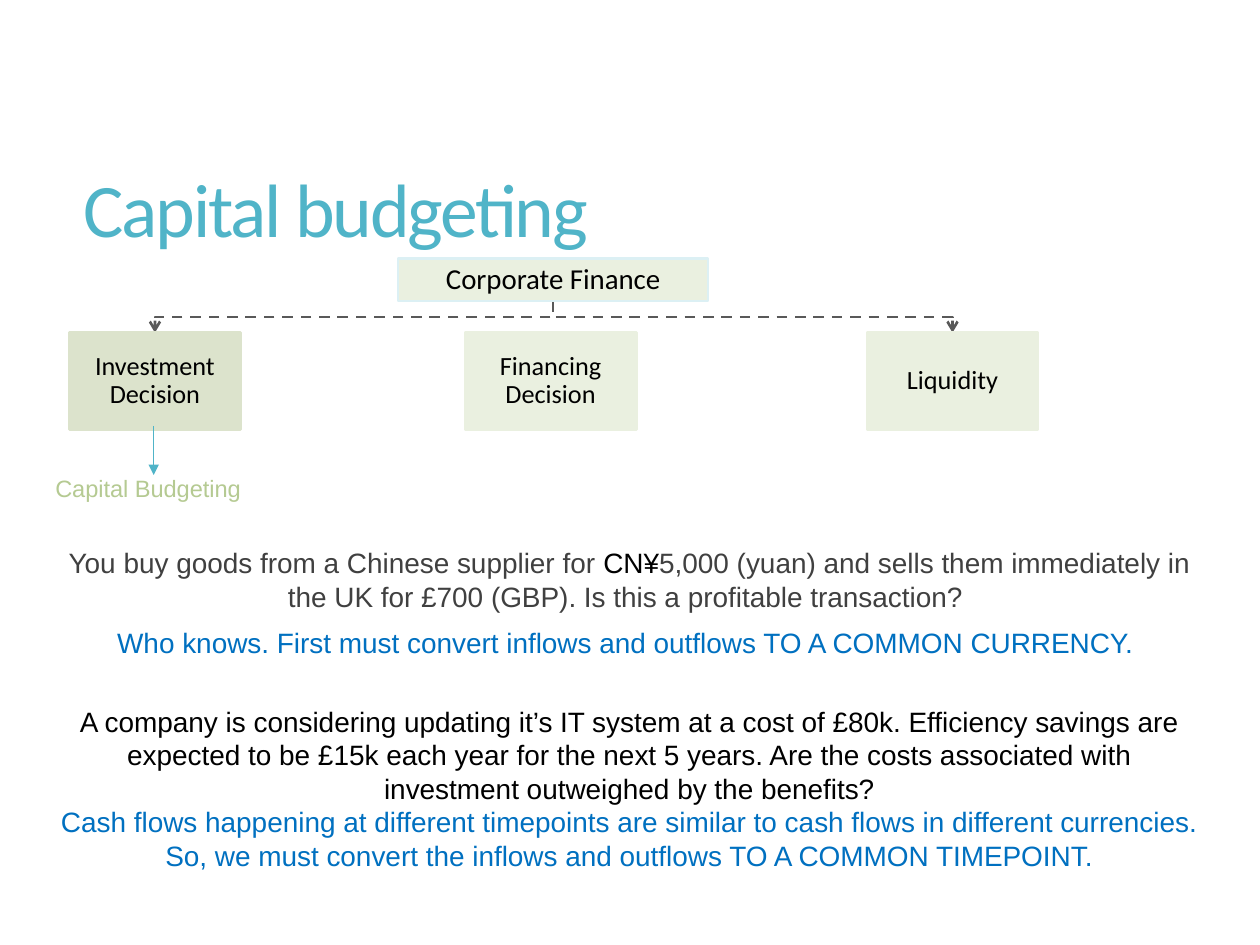
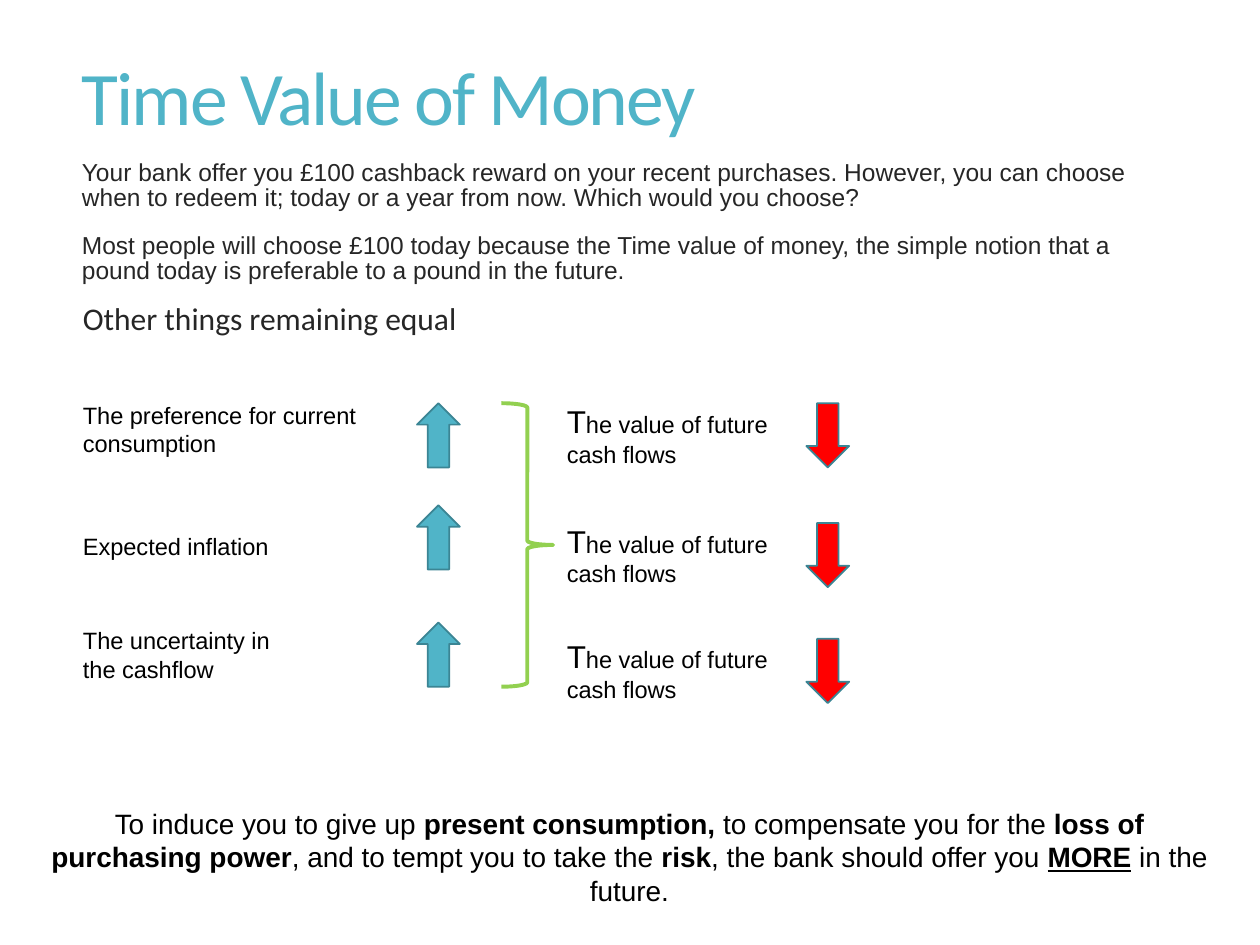
from dataclasses import dataclass

from lxml.etree import SubElement
from pptx import Presentation
from pptx.dml.color import RGBColor
from pptx.enum.dml import MSO_LINE
from pptx.enum.shapes import MSO_CONNECTOR, MSO_SHAPE
from pptx.enum.text import MSO_ANCHOR, MSO_AUTO_SIZE, PP_ALIGN
from pptx.oxml.ns import qn
from pptx.util import Inches, Pt


@dataclass(frozen=True)
class Theme:
    heading_font: str = "Calibri"
    text_font: str = "Arial"
    teal: str = "50B4C8"
    teal_dark: str = "3B8594"
    teal_pale: str = "DCF0F4"
    green: str = "92D050"
    green_soft: str = "B5CA92"
    green_pale: str = "EAF0E0"
    green_focus: str = "DCE3CC"
    blue: str = "0070C0"
    red: str = "FF0000"
    black: str = "000000"
    ink: str = "262626"
    grey: str = "404040"
    link: str = "595959"
    title: float = 43.2
    lead: float = 18
    root: float = 16.5
    statement: float = 16
    branch: float = 15
    body: float = 14
    label: float = 13.5


theme = Theme()
color = RGBColor.from_string

deck = Presentation()
deck.slide_width, deck.slide_height = Inches(10), Inches(7.5)

# Grid of 100 columns by 75 rows
column, row = deck.slide_width / 100, deck.slide_height / 75


def grid(x, y, *size):
    units = (column, row) * 2
    return [round(n * unit) for n, unit in zip((x, y, *size), units)]


def write(frame, paragraphs, font=theme.text_font, align=PP_ALIGN.LEFT,
          leading=1.0, before=0, anchor=MSO_ANCHOR.TOP):
    """Each paragraph is a list of runs: text, size, colour, marks (b, u)."""
    frame.word_wrap = True
    frame.auto_size = MSO_AUTO_SIZE.NONE
    frame.vertical_anchor = anchor
    for i, runs in enumerate(paragraphs):
        paragraph = frame.add_paragraph() if i else frame.paragraphs[0]
        paragraph.alignment = align
        paragraph.line_spacing = leading
        paragraph.space_before = Pt(before if i else 0)
        for text, size, ink, *marks in runs:
            run = paragraph.add_run()
            run.text = text
            run.font.name = font
            run.font.size = Pt(size)
            run.font.color.rgb = color(ink)
            run.font.bold = "b" in marks
            run.font.underline = "u" in marks


# Slides and their shared title style
budgeting = deck.slides.add_slide(deck.slide_layouts[5])
time_value = deck.slides.add_slide(deck.slide_layouts[1])
for slide, heading, place in (
    (budgeting, "Capital budgeting", (5.6, 14.4, 70.5, 5)),
    (time_value, "Time Value of Money", (5.5, 5, 70.5, 6)),
):
    title = slide.shapes.title
    title.left, title.top, title.width, title.height = grid(*place)
    write(title.text_frame, [[(heading, theme.title, theme.teal)]],
          theme.heading_font, leading=0.9, anchor=MSO_ANCHOR.MIDDLE)
    title.text_frame.paragraphs[0].runs[0].font._element.set("spc", "-120")

# Capital budgeting: dashed branches from the root to the outer decisions
root_x, root_bottom, branch_top = 43.9, 23.9, 26.4
branch_middle = (root_bottom + branch_top) / 2
arrows = []
for branch_x in (12.3, 75.6):
    outline = budgeting.shapes.build_freeform(*grid(root_x, root_bottom))
    outline.add_line_segments(
        [grid(root_x, branch_middle), grid(branch_x, branch_middle),
         grid(branch_x, branch_top)], close=False)
    branch = outline.convert_to_shape()
    branch.fill.background()
    branch.shadow.inherit = False
    branch.line.color.rgb = color(theme.link)
    branch.line.width = Pt(1.5)
    branch.line.dash_style = MSO_LINE.DASH
    arrows.append((branch, "arrow"))

# Capital budgeting: tree boxes
for text, place, size, fill, edge, inset in (
    ("Corporate Finance", (31.6, 20.5, 24.6, 3.4),
     theme.root, theme.green_pale, theme.teal_pale, 1),
    ("Investment Decision", (5.5, branch_top, 13.6, 7.7),
     theme.branch, theme.green_focus, theme.green_focus, 0.8),
    ("Financing Decision", (36.9, branch_top, 13.6, 7.7),
     theme.branch, theme.green_pale, theme.green_pale, 0.8),
    ("Liquidity", (68.8, branch_top, 13.6, 7.7),
     theme.branch, theme.green_pale, theme.green_pale, 0.8),
):
    node = budgeting.shapes.add_shape(MSO_SHAPE.RECTANGLE, *grid(*place))
    node.shadow.inherit = False
    node.fill.solid()
    node.fill.fore_color.rgb = color(fill)
    node.line.color.rgb = color(edge)
    node.line.width = Pt(1.5)
    frame = node.text_frame
    frame.margin_left, frame.margin_top = grid(inset, inset)
    frame.margin_right, frame.margin_bottom = grid(inset, inset)
    write(frame, [[(text, size, theme.black)]], theme.heading_font,
          PP_ALIGN.CENTER, 0.9, anchor=MSO_ANCHOR.MIDDLE)

# Capital budgeting: arrow to the topic
topic_arrow = budgeting.shapes.add_connector(
    MSO_CONNECTOR.STRAIGHT, *grid(12.2, 33.8, 12.2, 37.7))
topic_arrow.line.color.rgb = color(theme.teal)
topic_arrow.line.width = Pt(0.75)
arrows.append((topic_arrow, "triangle"))
for arrow, head in arrows:
    SubElement(arrow.line._get_or_add_ln(), qn("a:tailEnd"), type=head)
SubElement(topic_arrow._element.spPr, qn("a:effectLst"))

topic = budgeting.shapes.add_textbox(*grid(3.4, 37.1, 19.8, 3.3))
write(topic.text_frame,
      [[("Capital Budgeting", theme.label, theme.green_soft)]])

# Capital budgeting: currency and timepoint examples
currency = [
    [("You buy goods from a Chinese supplier for ", theme.statement, theme.grey),
     ("CN¥", theme.statement, theme.black),
     ("5,000 (yuan) and sells them immediately in the UK for £700 (GBP). "
      "Is this a profitable transaction? ", theme.statement, theme.grey)],
    [("Who knows. First must convert inflows and outflows TO A COMMON "
      "CURRENCY. ", theme.statement, theme.blue)],
]
timepoint = [
    [("A company is considering updating it’s IT system at a cost of £80k. "
      "Efficiency savings are expected to be £15k each year for the next "
      "5 years. Are the costs associated with investment outweighed by the "
      "benefits?", theme.statement, theme.black)],
    [("Cash flows happening at different timepoints are similar to cash flows "
      "in different currencies. So, we must convert the inflows and outflows "
      "TO A COMMON TIMEPOINT.", theme.statement, theme.blue)],
]
for example, top, height, gap in (
    (currency, 42.8, 10.2, 7.5), (timepoint, 55.4, 18.1, 0),
):
    example_box = budgeting.shapes.add_textbox(*grid(3.5, top, 92.9, height))
    write(example_box.text_frame, example, align=PP_ALIGN.CENTER, before=gap)

# Time value: the cashback question
question = time_value.placeholders[1]
question.left, question.top, question.width, question.height = grid(
    5.5, 12.3, 88.9, 12.7)
write(question.text_frame, [
    [("Your bank offer you £100 cashback reward on your recent purchases. "
      "However, you can choose when to redeem it; today or a year from now. "
      "Which would you choose?", theme.body, theme.ink)],
    [("Most people will choose £100 today because the Time value of money, "
      "the simple notion that a pound today is preferable to a pound in the "
      "future.", theme.body, theme.ink)],
], leading=0.85, before=13)
for paragraph in question.text_frame.paragraphs:
    properties = paragraph._p.get_or_add_pPr()
    properties.set("marL", "0")
    properties.set("indent", "0")
    SubElement(properties, qn("a:buNone"))

condition = time_value.shapes.add_textbox(*grid(5.6, 23.7, 68.6, 4.4))
write(condition.text_frame,
      [[("Other things remaining equal", theme.lead, theme.ink)]],
      theme.heading_font, leading=0.85)

# Time value: each cause that rises, and the value that falls
for cause, cause_top, cause_width, rise_top, fall_top in (
    ("The preference for current consumption", 31.3, 24.6, 32, 32),
    ("Expected inflation", 41.7, 17.1, 40.1, 41.5),
    ("The uncertainty in the cashflow", 49.2, 17.1, 49.4, 50.7),
):
    cause_box = time_value.shapes.add_textbox(
        *grid(5.6, cause_top, cause_width, 5.6))
    write(cause_box.text_frame, [[(cause, theme.label, theme.black)]])
    effect_box = time_value.shapes.add_textbox(
        *grid(44, fall_top - 0.6, 18.3, 6.3))
    write(effect_box.text_frame, [[
        ("T", theme.lead, theme.black),
        ("he value of future cash flows", theme.label, theme.black)]])
    for direction, x, y, fill in (
        (MSO_SHAPE.UP_ARROW, 33.1, rise_top, theme.teal),
        (MSO_SHAPE.DOWN_ARROW, 64, fall_top, theme.red),
    ):
        change = time_value.shapes.add_shape(direction, *grid(x, y, 3.4, 5.1))
        change.shadow.inherit = False
        change.fill.solid()
        change.fill.fore_color.rgb = color(fill)
        change.line.color.rgb = color(theme.teal_dark)
        change.line.width = Pt(1)

brace = time_value.shapes.add_shape(
    MSO_SHAPE.RIGHT_BRACE, *grid(39.8, 32, 4.1, 22.5))
brace.shadow.inherit = False
brace.fill.background()
brace.line.color.rgb = color(theme.green)
brace.line.width = Pt(2.25)

# Time value: conclusion
conclusion = time_value.shapes.add_textbox(*grid(3, 63.5, 93.9, 9.1))
write(conclusion.text_frame, [[
    (text, theme.statement, theme.black, *marks) for text, marks in (
        ("To induce you to give up ", ""),
        ("present consumption,", "b"),
        (" to compensate you for the ", ""),
        ("loss of purchasing power", "b"),
        (", and to tempt you to take the ", ""),
        ("risk", "b"),
        (", the bank should offer you ", ""),
        ("MORE", "bu"),
        (" in the future.", ""),
    )]], align=PP_ALIGN.CENTER)

deck.save("out.pptx")
